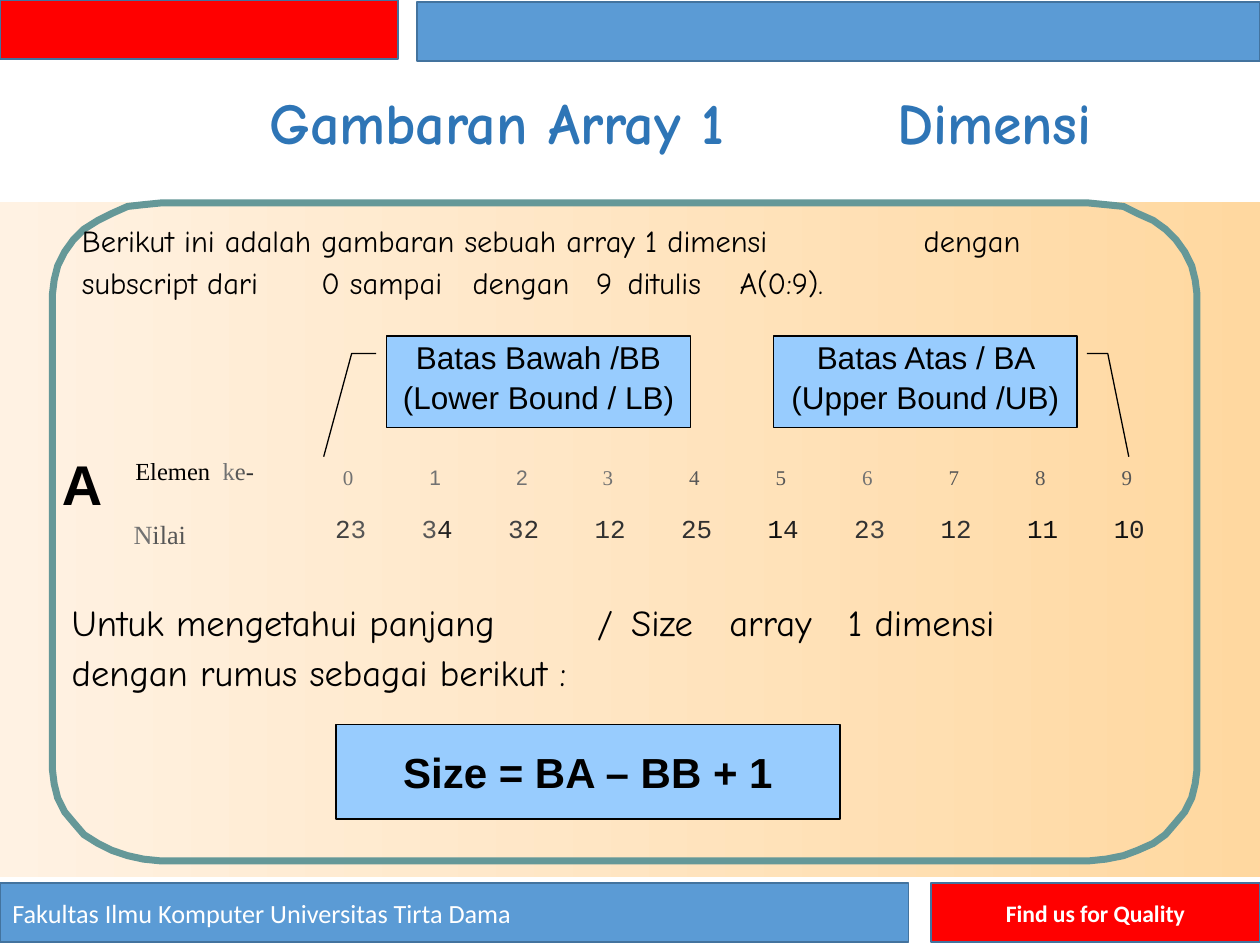
"""Builds a slide that explains a one-dimensional array and its size."""
import math
from dataclasses import dataclass

import lxml.etree
import pptx
import pptx.dml.color
import pptx.enum.shapes
import pptx.enum.text
import pptx.oxml
import pptx.oxml.ns
import pptx.util

Pt = pptx.util.Pt
SHAPES = pptx.enum.shapes.MSO_SHAPE
ANCHOR = pptx.enum.text.MSO_ANCHOR
ALIGN = pptx.enum.text.PP_ALIGN
NO_STYLE = "{2D5ABB26-0587-4C30-8999-92F81FD0307C}"


@dataclass(frozen=True)
class Style:
    """Type settings of one kind of text."""
    font: str
    size: float
    color: str = "000000"
    bold: bool = False
    raised: int = 0
    leading: float = 0


class Theme:
    """Colours and type sizes of the slide."""
    red, blue, edge = "FF0000", "5B9BD5", "43739E"
    sand_light, sand_dark = "FFF2E3", "FFD8A0"
    teal, sky, black = "659898", "98CCFE", "000000"
    title = Style("Comic Neue", 57, "2E75B6", True, 1, 40)
    intro = Style("Comic Neue", 30, raised=2, leading=22)
    body = Style("Comic Neue", 36, raised=2, leading=26)
    name = Style("Arial", 32, bold=True, leading=33.7)
    element = Style("Times New Roman", 14, leading=15.3)
    label = Style("Times New Roman", 15, leading=16.3)
    index = Style("Times New Roman", 12, leading=13.2)
    index_sans = Style("Arial", 12, leading=13.2)
    value = Style("Courier New", 25.5, raised=5, leading=18.6)
    bound = Style("Arial", 18)
    formula = Style("Arial", 24, bold=True)
    faculty = Style("Calibri", 15, "FFFFFF")
    motto = Style("Calibri", 13.5, "FFFFFF", True)


def rgb(color):
    """Turns a hex string into a colour."""
    return pptx.dml.color.RGBColor.from_string(color)


def format_span(span, style, color=None):
    """Applies a style to a run."""
    span.font.name = style.font
    span.font.size = Pt(style.size)
    span.font.bold = style.bold
    span.font.color.rgb = rgb(color or style.color)
    if style.raised:
        span.font._element.set("baseline", str(style.raised * 1000))


def format_para(para, style, align=ALIGN.LEFT, tabs=()):
    """Sets alignment, leading, tab stops and run formats of a paragraph."""
    para.alignment = align
    if style.leading:
        para.line_spacing = Pt(style.leading)
    if tabs:
        stops = lxml.etree.SubElement(para._p.get_or_add_pPr(), pptx.oxml.ns.qn("a:tabLst"))
        for position in tabs:
            lxml.etree.SubElement(stops, pptx.oxml.ns.qn("a:tab"),
                                  pos=str(Pt(position)), algn="l")
    for span in para.runs:
        format_span(span, style)


def clear_margins(frame, anchor=ANCHOR.TOP):
    """Removes the insets of a text frame and wraps its text."""
    frame.margin_left = frame.margin_top = frame.margin_right = frame.margin_bottom = 0
    frame.word_wrap = True
    frame.auto_size = pptx.enum.text.MSO_AUTO_SIZE.NONE
    frame.vertical_anchor = anchor


def add_text(page, place, lines, style, gap=0):
    """Adds a text box from pairs of line and tab stops."""
    frame = page.shapes.add_textbox(*map(Pt, place)).text_frame
    clear_margins(frame)
    frame.text = "\n".join(line for line, tabs in lines)
    for number, (para, (line, tabs)) in enumerate(zip(frame.paragraphs, lines)):
        if number:
            para.space_before = Pt(gap)
        format_para(para, style, tabs=tabs)


def add_box(page, place, fill, line, width=0.75):
    """Adds a filled and outlined rectangle."""
    box = page.shapes.add_shape(SHAPES.RECTANGLE, *map(Pt, place))
    box.shadow.inherit = False
    box.fill.solid()
    box.fill.fore_color.rgb = rgb(fill)
    box.line.color.rgb = rgb(line)
    box.line.width = Pt(width)
    return box


def label_box(box, text, style, anchor=ANCHOR.MIDDLE, align=ALIGN.CENTER, inset=0):
    """Writes a text into a box."""
    frame = box.text_frame
    clear_margins(frame, anchor)
    frame.margin_left = Pt(inset)
    frame.text = text
    format_para(frame.paragraphs[0], style, align)
    return frame.paragraphs[0]


def add_outline(page, points, color, width, close=False):
    """Adds an unfilled outline through the points."""
    builder = page.shapes.build_freeform(*points[0], scale=Pt(1))
    builder.add_line_segments(points[1:], close=close)
    outline = builder.convert_to_shape()
    outline.shadow.inherit = False
    outline.fill.background()
    outline.line.color.rgb = rgb(color)
    outline.line.width = Pt(width)


def rounded_points(left, top, width, height, across, down, steps=10):
    """Lists the points of a rectangle with elliptical corners."""
    centers = [(left + width - across, top + height - down), (left + across, top + height - down),
               (left + across, top + down), (left + width - across, top + down)]
    points = []
    for corner, (x, y) in enumerate(centers):
        for step in range(steps + 1):
            angle = math.pi / 2 * (corner + step / steps)
            points.append((x + across * math.cos(angle), y + down * math.sin(angle)))
    return points


def add_band(page):
    """Adds the shaded band behind the content."""
    band = add_box(page, (0, 115.2, 720, 385.9), Theme.sand_light, Theme.edge)
    band.line.fill.background()
    band.fill.gradient()
    band.fill.gradient_angle = 0
    for stop, color in zip(band.fill.gradient_stops, (Theme.sand_light, Theme.sand_dark)):
        stop.color.rgb = rgb(color)


def fill_cell(cell, spans, style, left=0, top=0):
    """Writes pairs of text and colour into a table cell."""
    cell.fill.background()
    cell.margin_left, cell.margin_top = Pt(left), Pt(top)
    cell.margin_right = cell.margin_bottom = 0
    para = cell.text_frame.paragraphs[0]
    format_para(para, style)
    for text, color in spans:
        span = para.add_run()
        span.text = text
        format_span(span, style, color)


def add_array(page):
    """Adds the table of indexes and values."""
    index_colors = "72 72 72 72 57 57 72 57 57 57".split()
    values = "23 34 32 12 25 14 23 12 11 10".split()
    value_colors = ["4157", "5721", "4131", "3131", "3131",
                    "0E21", "3141", "2131", "0E0E", "0E21"]
    pitch, label_width = 49.44, 115.2
    frame = page.shapes.add_table(2, 11, Pt(76.3), Pt(262), Pt(label_width + 10 * pitch), Pt(64))
    table = frame.table
    table.first_row = table.horz_banding = False
    table._tbl.tblPr.find(pptx.oxml.ns.qn("a:tableStyleId")).text = NO_STYLE
    table.rows[0].height, table.rows[1].height = Pt(36), Pt(28)
    table.columns[0].width = Pt(label_width)
    fill_cell(table.cell(0, 0), [("Elemen  ", "000000"), ("k", "727272"),
                                 ("e", "575757"), ("-", "313131")], Theme.element, 1)
    fill_cell(table.cell(1, 0), [("N", "727272"), ("ilai", "575757")], Theme.label)
    for number, (value, shades) in enumerate(zip(values, value_colors)):
        table.columns[number + 1].width = Pt(pitch)
        style = Theme.index_sans if number in (1, 2) else Theme.index
        fill_cell(table.cell(0, number + 1), [(str(number), index_colors[number] * 3)],
                  style, 4.5, 5)
        digits = [(value[0], shades[:2] * 3), (value[1], shades[2:] * 3)]
        fill_cell(table.cell(1, number + 1), digits, Theme.value)


def add_title(page):
    """Places and formats the title."""
    title = page.shapes.title
    title.left, title.top, title.width, title.height = map(Pt, (154, 54.7, 520, 40.3))
    title.text_frame.text = "Gambaran Array 1\tDimensi"
    clear_margins(title.text_frame)
    format_para(title.text_frame.paragraphs[0], Theme.title, tabs=[358.6])


def main():
    """Builds and saves the deck."""
    deck = pptx.Presentation()
    deck.slide_width, deck.slide_height = Pt(720), Pt(540)
    page = deck.slides.add_slide(deck.slide_layouts[5])
    add_title(page)
    add_band(page)
    add_box(page, (0, 0, 227.5, 33.8), Theme.red, Theme.edge, 1)
    add_box(page, (238.3, 1.2, 481.7, 33.8), Theme.blue, Theme.edge, 1)
    faculty = add_box(page, (0, 504.7, 519.2, 33.8), Theme.blue, Theme.edge, 1)
    label_box(faculty, "Fakultas Ilmu Komputer Universitas Tirta Dama", Theme.faculty,
              align=ALIGN.LEFT, inset=7.2)
    motto = add_box(page, (532, 504.7, 188, 33.8), Theme.red, Theme.edge, 1)
    label_box(motto, "Find us for Quality", Theme.motto)
    add_outline(page, rounded_points(30.2, 115.9, 653.8, 375.9, 61.5, 51.8), Theme.teal, 4, True)
    for left, text in ((221, "Batas Bawah /BB (Lower Bound / LB)"),
                       (442, "Batas Atas / BA (Upper Bound /UB)")):
        bound = add_box(page, (left, 192, 173.5, 52.4), Theme.sky, Theme.black)
        label_box(bound, text, Theme.bound, ANCHOR.TOP).line_spacing = 1.05
    for points in ([(185, 260.6), (200.9, 201.6), (215.3, 201.6)],
                   [(645.1, 260.6), (632.9, 201.6), (621.4, 201.6)]):
        add_outline(page, points, Theme.black, 0.75)
    formula = add_box(page, (192, 414, 288, 54), Theme.sky, Theme.black)
    label_box(formula, "Size = BA – BB + 1", Theme.formula)
    add_text(page, (46.8, 128.9, 580, 46), [
        ("Berikut ini adalah gambaran sebuah array 1 dimensi\tdengan", [481]),
        ("subscript dari\t0 sampai\tdengan\t9\tditulis\tA(0:9).", [136.8, 223.2, 293.8, 311.8, 375.8]),
    ], Theme.intro, 2)
    add_text(page, (35.3, 261.4, 30.2, 33.8), [("A", [])], Theme.name)
    add_array(page)
    add_text(page, (41, 345.6, 580, 55), [
        ("Untuk mengetahui panjang\t/\tSize\tarray\t1 dimensi", [300.2, 319.7, 375.8, 443.5]),
        ("dengan rumus sebagai berikut :", []),
    ], Theme.body, 2.8)
    deck.save("out.pptx")


main()
